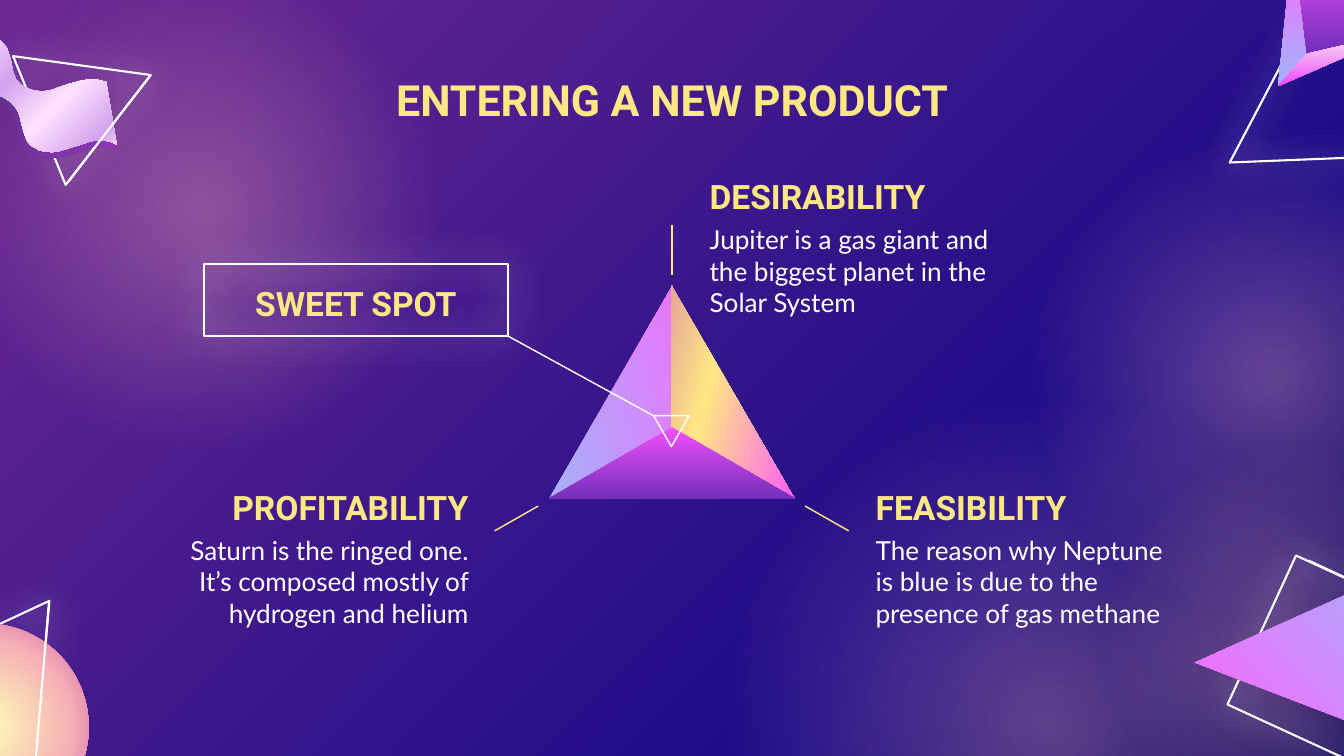
from lxml.etree import SubElement
from pptx import Presentation
from pptx.dml.color import RGBColor
from pptx.enum.shapes import MSO_CONNECTOR, MSO_SHAPE
from pptx.enum.text import MSO_ANCHOR, PP_ALIGN
from pptx.oxml.ns import qn
from pptx.util import Inches, Pt

THEME = {
    "white": "FFFFFF", "yellow": "FFE883",
    "title": {"name": "Roboto", "size": Pt(46), "bold": True},
    "heading": {"name": "Roboto", "size": Pt(36), "bold": True},
    "body": {"name": "Lato", "size": Pt(28), "bold": False},
    "background": [(0, "6E2993"), (74, "1B0B87"), (100, "010159")],
    "glow": [(0, "F7B0B6", 34), (66, "F7B0B6", 0), (100, "F7B0B6", 0)],
    "sphere": [(0, "FEFFB7"), (59, "F7B0B6"), (92, "CF65B0"), (100, "FEFFB7")],
    "ribbon": [(0, "FFE2FF"), (21, "7B76D6"), (36, "FFE2FF"), (55, "D3A3EE"),
               (73, "FFE2FF"), (92, "D3A3EE"), (100, "FFE2FF")],
    "ribbon edge": [(0, "372F68"), (100, "9135BA")],
    "lavender": [(0, "FF62FF"), (100, "A2B5FA")],
    "violet": [(0, "F250FE"), (100, "722FBA")],
    "pale": [(0, "F9F6EF"), (100, "F148FF")],
    "sunset": [(0, "CF65B0"), (50, "FFE883"), (100, "FF52FF")],
}

# Content
TITLE = "ENTERING A NEW PRODUCT"
CENTER_LABEL = "SWEET SPOT"
TOPICS = [  # heading, body, left, top, alignment
    ("DESIRABILITY", "Jupiter is a gas giant and the biggest planet in the Solar System",
     10.36, 2.39, PP_ALIGN.LEFT),
    ("FEASIBILITY", "The reason why Neptune is blue is due to the presence of gas methane",
     12.83, 7.01, PP_ALIGN.LEFT),
    ("PROFITABILITY", "Saturn is the ringed one. It’s composed mostly of hydrogen and helium",
     2.19, 7.01, PP_ALIGN.RIGHT),
]

# Decoration geometry, in inches
GLOWS = [(-0.81, -0.68, 7.62), (16.23, 6.43, 6.17), (10.46, 5.62, 10.26), (15.1, 1.79, 7.62)]
RIBBON_TOP = [
    (-1.83, -0.17), (-1.68, -0.08), (-1.6, 0.02), (-1.53, 0.25), (-1.49, 0.39), (-1.39, 0.56),
    (-1.28, 0.63), (-1.19, 0.66), (-1.06, 0.67), (-0.93, 0.65), (-0.67, 0.56), (-0.49, 0.5),
    (-0.36, 0.48), (-0.22, 0.5), (-0.12, 0.53), (0.01, 0.61), (0.1, 0.71), (0.14, 0.82),
    (0.17, 0.94), (0.2, 1.09), (0.24, 1.18), (0.3, 1.25), (0.42, 1.32), (0.51, 1.35),
    (0.64, 1.36), (0.76, 1.34), (1.02, 1.25), (1.21, 1.2), (1.34, 1.18), (1.47, 1.19),
    (1.58, 1.22)]
RIBBON_BOTTOM = [
    (1.74, 2.17), (1.62, 2.12), (1.48, 2.1), (1.35, 2.12), (1.17, 2.18), (0.91, 2.26),
    (0.78, 2.28), (0.65, 2.27), (0.57, 2.25), (0.45, 2.18), (0.39, 2.11), (0.35, 2.01),
    (0.31, 1.87), (0.28, 1.74), (0.24, 1.64), (0.16, 1.54), (0.02, 1.45), (-0.08, 1.42),
    (-0.21, 1.41), (-0.35, 1.43), (-0.53, 1.48), (-0.79, 1.57), (-0.91, 1.59), (-1.04, 1.58),
    (-1.13, 1.55), (-1.25, 1.48), (-1.31, 1.41), (-1.35, 1.32), (-1.38, 1.17), (-1.45, 0.94),
    (-1.54, 0.84), (-1.68, 0.76)]
RIBBON_SHADE = [
    (-1.73, 0.79), (-1.59, 0.89), (-1.49, 1.05), (-1.46, 1.2), (-1.39, 1.43), (-1.31, 1.53),
    (-1.17, 1.61), (-1.07, 1.64), (-0.93, 1.66), (-0.8, 1.64), (-0.62, 1.58), (-0.36, 1.49),
    (-0.23, 1.47), (-0.1, 1.48), (-0.01, 1.51), (0.1, 1.58), (0.17, 1.66), (0.21, 1.75),
    (0.24, 1.89), (0.31, 2.12), (0.39, 2.22), (0.53, 2.3), (0.63, 2.34), (0.76, 2.35),
    (0.9, 2.33), (1.08, 2.28), (1.34, 2.19), (1.47, 2.17), (1.6, 2.18), (1.73, 2.19)]
CONE = [(17.78, 9.86), (21.15, 8.35), (20.97, 8.53), (20.87, 8.76), (20.8, 9.07), (20.76, 9.6),
        (20.81, 10.3), (20.92, 10.76), (21.05, 11.02), (21.23, 11.18)]
TIP, FRONT, BACK, SIDE = (19.02, 1.28), (19.45, 0.8), (19.24, -0.87), (20.91, 0.46)
CORNER_FACES = [([TIP, BACK, FRONT], "lavender"), ([SIDE, FRONT, BACK], "violet"),
                ([SIDE, TIP, FRONT], "pale")]
PYRAMID_FACES = [  # left, top, rotation, gradient, angle
    (7.72, 5.57, 120, "lavender", 45), (8.62, 5.57, 240, "sunset", 135),
    (8.17, 6.36, 0, "violet", 90)]
POINTERS = [((8.01, 7.53), (7.36, 7.9)), ((11.98, 7.53), (12.63, 7.9)), ((10, 4.09), (10, 3.35))]


def paint_gradient(fill, element, stops, angle=None):
    """Give the fill its stops; without an angle the gradient is radial."""
    fill.gradient()
    gradient = element.xpath(".//a:gradFill")[0]
    for child in list(gradient):
        gradient.remove(child)
    gradient.set("rotWithShape", "1")
    stop_list = SubElement(gradient, qn("a:gsLst"))
    for position, color, *alpha in stops:
        stop = SubElement(stop_list, qn("a:gs"), pos=str(position * 1000))
        color_element = SubElement(stop, qn("a:srgbClr"), val=color)
        if alpha:
            SubElement(color_element, qn("a:alpha"), val=str(alpha[0] * 1000))
    if angle is None:
        radial = SubElement(gradient, qn("a:path"), path="circle")
        SubElement(radial, qn("a:fillToRect"), dict.fromkeys("ltrb", "50000"))
    else:
        SubElement(gradient, qn("a:lin"), ang=str(angle * 60000), scaled="0")


def fill_shape(shape, gradient, angle=None):
    shape.shadow.inherit = False
    shape.line.fill.background()
    paint_gradient(shape.fill, shape.element, THEME[gradient], angle)


def add_preset(kind, left, top, width, height, rotation=0):
    shape = slide.shapes.add_shape(kind, *map(Inches, (left, top, width, height)))
    shape.rotation = rotation
    return shape


def add_outline(kind, *box, weight=2.25, halo=True):
    shape = add_preset(kind, *box)
    shape.fill.background()
    shape.line.color.rgb = RGBColor.from_string(THEME["white"])
    shape.line.width = Pt(weight)
    shape.shadow.inherit = False
    if halo:
        effects = shape.element.spPr.find(qn("a:effectLst"))
        shadow = SubElement(effects, qn("a:outerShdw"), blurRad=str(Pt(38.2)),
                            dist="0", dir="0", algn="bl", rotWithShape="0")
        color = SubElement(shadow, qn("a:srgbClr"), val=THEME["white"])
        SubElement(color, qn("a:alpha"), val="96000")


def add_polygon(points, gradient, angle):
    first, *rest = [tuple(map(Inches, point)) for point in points]
    builder = slide.shapes.build_freeform(*first)
    builder.add_line_segments(rest, close=True)
    fill_shape(builder.convert_to_shape(), gradient, angle)


def add_line(start, end, color="white", weight=2.25):
    line = slide.shapes.add_connector(MSO_CONNECTOR.STRAIGHT, *map(Inches, start + end))
    line.line.color.rgb = RGBColor.from_string(THEME[color])
    line.line.width = Pt(weight)
    SubElement(line.element.spPr, qn("a:effectLst"))


def add_text(text, box, style, color="yellow", align=PP_ALIGN.CENTER, anchor=MSO_ANCHOR.MIDDLE):
    frame = slide.shapes.add_textbox(*map(Inches, box)).text_frame
    inset = Inches(0.2)
    settings = {"word_wrap": True, "vertical_anchor": anchor, "margin_left": inset,
                "margin_right": inset, "margin_top": inset, "margin_bottom": inset}
    for name, value in settings.items():
        setattr(frame, name, value)
    paragraph = frame.paragraphs[0]
    paragraph.text = text
    paragraph.alignment = align
    for name, value in THEME[style].items():
        setattr(paragraph.font, name, value)
    paragraph.font.color.rgb = RGBColor.from_string(THEME[color])


presentation = Presentation()
presentation.slide_width, presentation.slide_height = Inches(20), Inches(11.25)
slide = presentation.slides.add_slide(presentation.slide_layouts[6])
TRIANGLE = MSO_SHAPE.ISOSCELES_TRIANGLE

# Background and soft glows
paint_gradient(slide.background.fill, slide.element, THEME["background"], 45)
for left, top, size in GLOWS:
    fill_shape(add_preset(MSO_SHAPE.OVAL, left, top, size, size), "glow")

# Bottom left: sphere in a triangle
add_outline(TRIANGLE, -1.86, 8.67, 3.47, 3, 35)
fill_shape(add_preset(MSO_SHAPE.OVAL, -1.76, 9.28, 3.08, 3.08), "sphere")
add_line((0.73, 8.94), (0.44, 12.4))

# Top left: ribbon through a triangle
add_outline(TRIANGLE, 0.38, 0.56, 2.07, 1.79, 67.8)
add_polygon(RIBBON_TOP + RIBBON_BOTTOM, "ribbon", 45)
add_polygon(RIBBON_BOTTOM + RIBBON_SHADE, "ribbon edge", 33)
add_line((2.24, 1.12), (1.02, 2.7))

# Bottom right: cone in a square
add_outline(MSO_SHAPE.RECTANGLE, 18.67, 8.64, 2.32, 2.44, 24.7)
add_polygon(CONE, "lavender", 315)
add_line((19.47, 8.34), (21.4, 9.24))

# Top right: pyramid over a triangle
add_outline(TRIANGLE, 18.22, -1.56, 4.5, 3.89, 357.7)
for points, gradient in CORNER_FACES:
    add_polygon(points, gradient, 90)

# Title and texts
add_text(TITLE, (1.66, 0.85, 16.68, 1.25), "title")
add_text(CENTER_LABEL, (3.03, 4.11, 4.53, 0.8), "heading")
for heading, body, left, top, align in TOPICS:
    add_text(heading, (left, top, 4.98, 1.07), "heading", align=align)
    add_text(body, (left, top + 0.74, 4.98, 1.91), "body", "white", align, MSO_ANCHOR.TOP)

# Central pyramid with its pointers
for left, top, rotation, gradient, angle in PYRAMID_FACES:
    fill_shape(add_preset(TRIANGLE, left, top, 3.66, 1.06, rotation), gradient, angle)
for start, end in POINTERS:
    add_line(start, end, "yellow", 1.5)

# Sweet spot frame, leader and marker
add_outline(MSO_SHAPE.RECTANGLE, 3.03, 3.93, 4.53, 1.07)
add_line((9.73, 6.19), (7.54, 4.99), weight=1.5)
add_outline(TRIANGLE, 9.66, 6.07, 0.53, 0.46, 300, weight=1.5, halo=False)

presentation.save("out.pptx")
